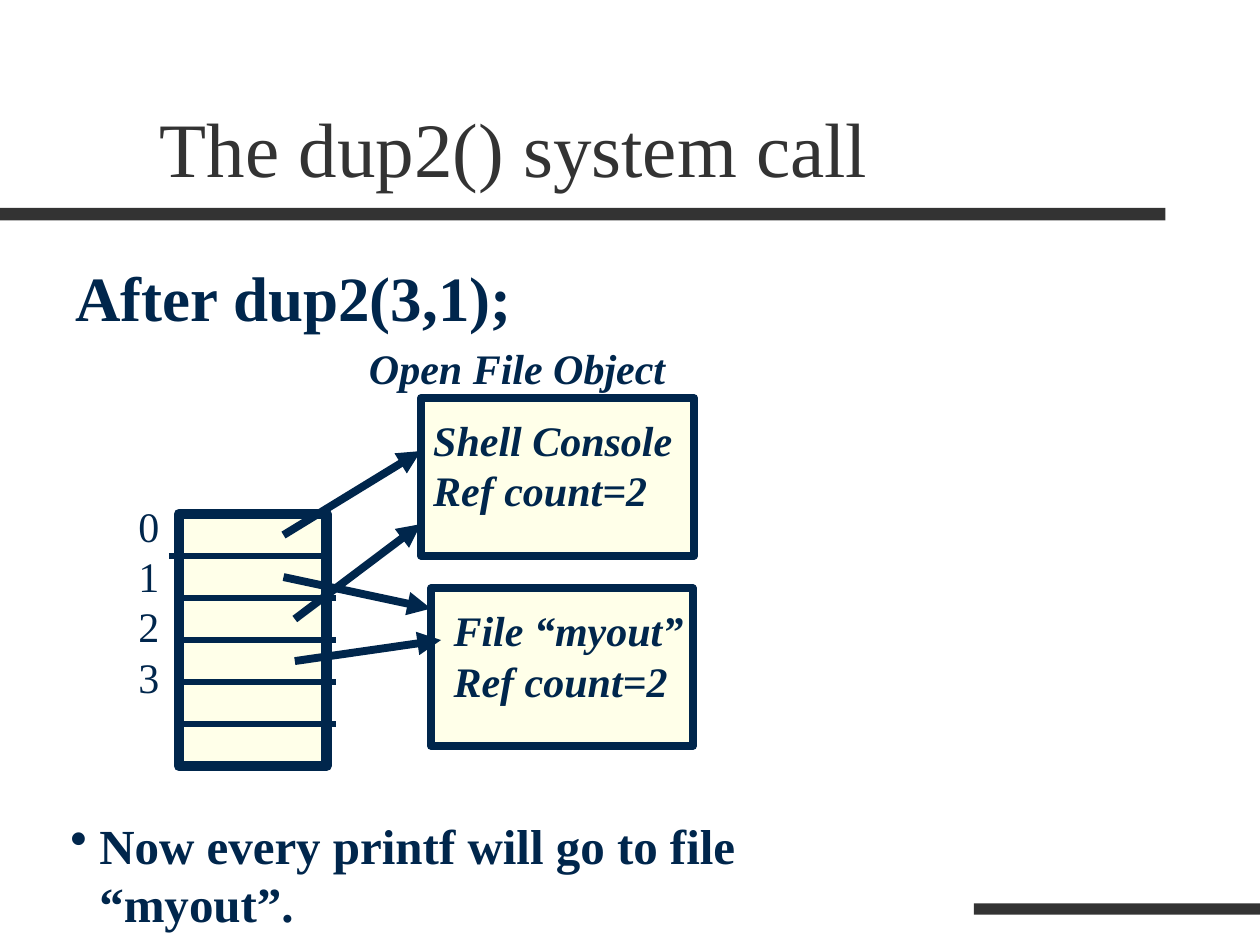
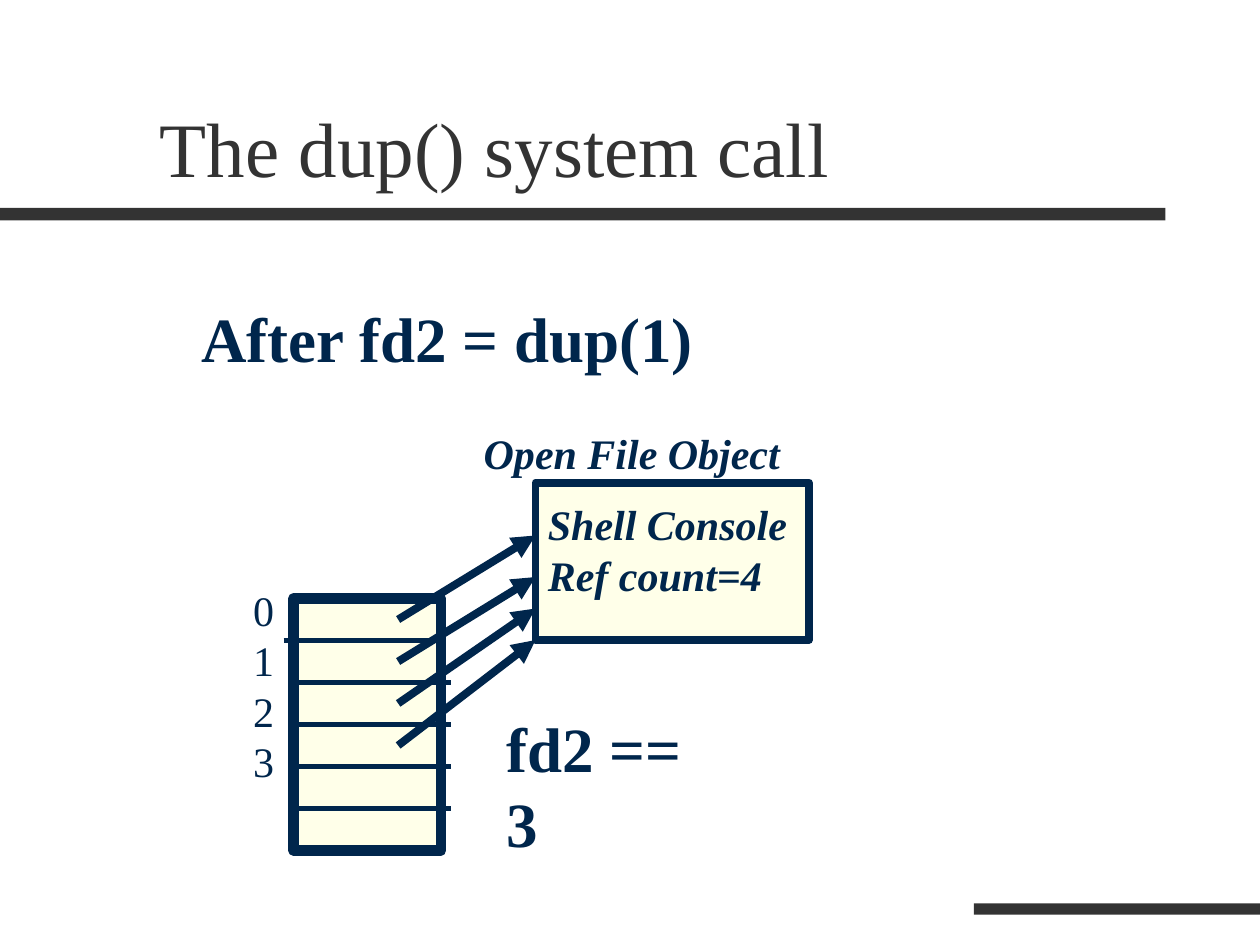
from lxml import etree
from pptx import Presentation
from pptx import util as u
from pptx.dml import color
from pptx.enum import shapes, text
from pptx.oxml import ns

FONT = "Times New Roman"
NAVY, CREAM, CHARCOAL = "00264C", "FFFFE9", "333333"
ROWS = 6
ROW_HEIGHT = 1 / 3
TABLE_WIDTH = 1.17


def rgb(value):
    return color.RGBColor.from_string(value)


def write(frame, lines, size, ink=NAVY, bold=False, italic=False):
    frame.text = "\n".join(lines)
    for paragraph in frame.paragraphs:
        paragraph.alignment = text.PP_ALIGN.LEFT
        for run in paragraph.runs:
            run.font.name = FONT
            run.font.size = u.Pt(size)
            run.font.bold = bold
            run.font.italic = italic
            run.font.color.rgb = rgb(ink)


def add_text(slide, left, top, width, height, line, size, wrap=True, **style):
    label = slide.shapes.add_textbox(*map(u.Inches, (left, top, width, height)))
    label.text_frame.word_wrap = wrap
    write(label.text_frame, [line], size, **style)
    return label.text_frame


def add_box(slide, left, top, width, height, fill, border=0):
    box = slide.shapes.add_shape(
        shapes.MSO_SHAPE.RECTANGLE, *map(u.Inches, (left, top, width, height)))
    box.shadow.inherit = False
    box.fill.solid()
    box.fill.fore_color.rgb = rgb(fill)
    if border:
        box.line.color.rgb = rgb(NAVY)
        box.line.width = u.Pt(border)
    else:
        box.line.fill.background()
    return box


def add_line(slide, start, end, weight, arrow=False):
    line = slide.shapes.add_connector(
        shapes.MSO_CONNECTOR.STRAIGHT, *map(u.Inches, (*start, *end)))
    line.line.color.rgb = rgb(NAVY)
    line.line.width = u.Pt(weight)
    if arrow:
        etree.SubElement(line.line._get_or_add_ln(), ns.qn("a:tailEnd"), type="triangle")
    etree.SubElement(line._element.spPr, ns.qn("a:effectLst"))


def add_bullet(paragraph, indent):
    properties = paragraph._p.get_or_add_pPr()
    properties.set("marL", str(u.Inches(indent)))
    properties.set("indent", str(-u.Inches(indent)))
    etree.SubElement(properties, ns.qn("a:buChar"), char="•")


def add_slide(deck, title):
    slide = deck.slides.add_slide(deck.slide_layouts[6])
    add_box(slide, 0, 1.65, 9.25, 0.1, CHARCOAL)
    add_box(slide, 7.73, 7.17, 2.27, 0.09, CHARCOAL)
    heading = add_text(slide, 1.17, 0.33, 8.5, 1.25, title, 44, ink=CHARCOAL)
    heading.vertical_anchor = text.MSO_ANCHOR.BOTTOM
    return slide


def add_heading(slide, left, top, width, line):
    add_text(slide, left, top, width, 0.7, line, 36, wrap=False, bold=True)


def add_file_object(slide, left, top, width, lines, inset):
    box = add_box(slide, left, top, width, 1.25, CREAM, 4.5)
    frame = box.text_frame
    frame.word_wrap = True
    frame.vertical_anchor = text.MSO_ANCHOR.TOP
    frame.margin_left, frame.margin_top, frame.margin_right = map(
        u.Inches, (inset, 0.13, 0))
    write(frame, lines, 24, bold=True, italic=True)


def add_descriptor_table(slide, x, y):
    add_box(slide, x, y, TABLE_WIDTH, ROWS * ROW_HEIGHT, CREAM, 6)
    for row in range(1, ROWS):
        left = x - 0.08 if row == 1 else x
        level = y + row * ROW_HEIGHT
        add_line(slide, (left, level), (left + 1.25, level), 3)
    add_text(slide, x - 0.42, y - 0.16, 0.42, 1.7, "0 1 2 3", 24)


def add_console(slide, x, y, references):
    add_text(slide, x + 1.41, y - 1.41, 2.58, 0.5, "Open File Object", 24,
             bold=True, italic=True)
    add_file_object(slide, x + 1.92, y - 0.92, 2.17,
                    ["Shell Console", f"Ref count={references}"], 0.1)


def add_references(slide, x, y, arrows):
    for row, (start, end, level) in enumerate(arrows):
        add_line(slide, (x + start, y + (row + 0.5) * ROW_HEIGHT),
                 (x + end, y + level), 4.5, arrow=True)


def add_dup2_slide(deck):
    slide = add_slide(deck, "The dup2() system call")
    x, y = 1.42, 4.08
    add_heading(slide, 0.5, 2, 3.66, "After dup2(3,1);")
    add_descriptor_table(slide, x, y)
    add_console(slide, x, y, 2)
    add_file_object(slide, x + 2, y + 0.59, 2.08, ["File “myout”", "Ref count=2"], 0.18)
    add_references(slide, x, y, [
        (0.83, 1.92, -0.5), (0.83, 2, 0.75), (0.92, 1.92, 0.08), (0.92, 2.08, 1)])
    note = add_text(slide, 0.46, 6.42, 7.11, 0.57,
                    "Now every printf will go to file “myout”.", 28, wrap=False, bold=True)
    add_bullet(note.paragraphs[0], 0.23)


def add_dup_slide(deck):
    slide = add_slide(deck, "The dup() system call")
    x, y = 2.33, 4.75
    add_heading(slide, 1.5, 2.33, 4.1, "After fd2 = dup(1)")
    add_descriptor_table(slide, x, y)
    add_console(slide, x, y, 4)
    add_references(slide, x, y, [
        (0.83, 1.92, level) for level in (-0.5, -0.17, 0.08, 0.33)])
    add_heading(slide, 3.92, 5.58, 1.96, "fd2 == 3")


def main():
    deck = Presentation()
    deck.slide_width, deck.slide_height = u.Inches(10), u.Inches(7.5)
    add_dup2_slide(deck)
    add_dup_slide(deck)
    deck.save("out.pptx")


if __name__ == "__main__":
    main()
